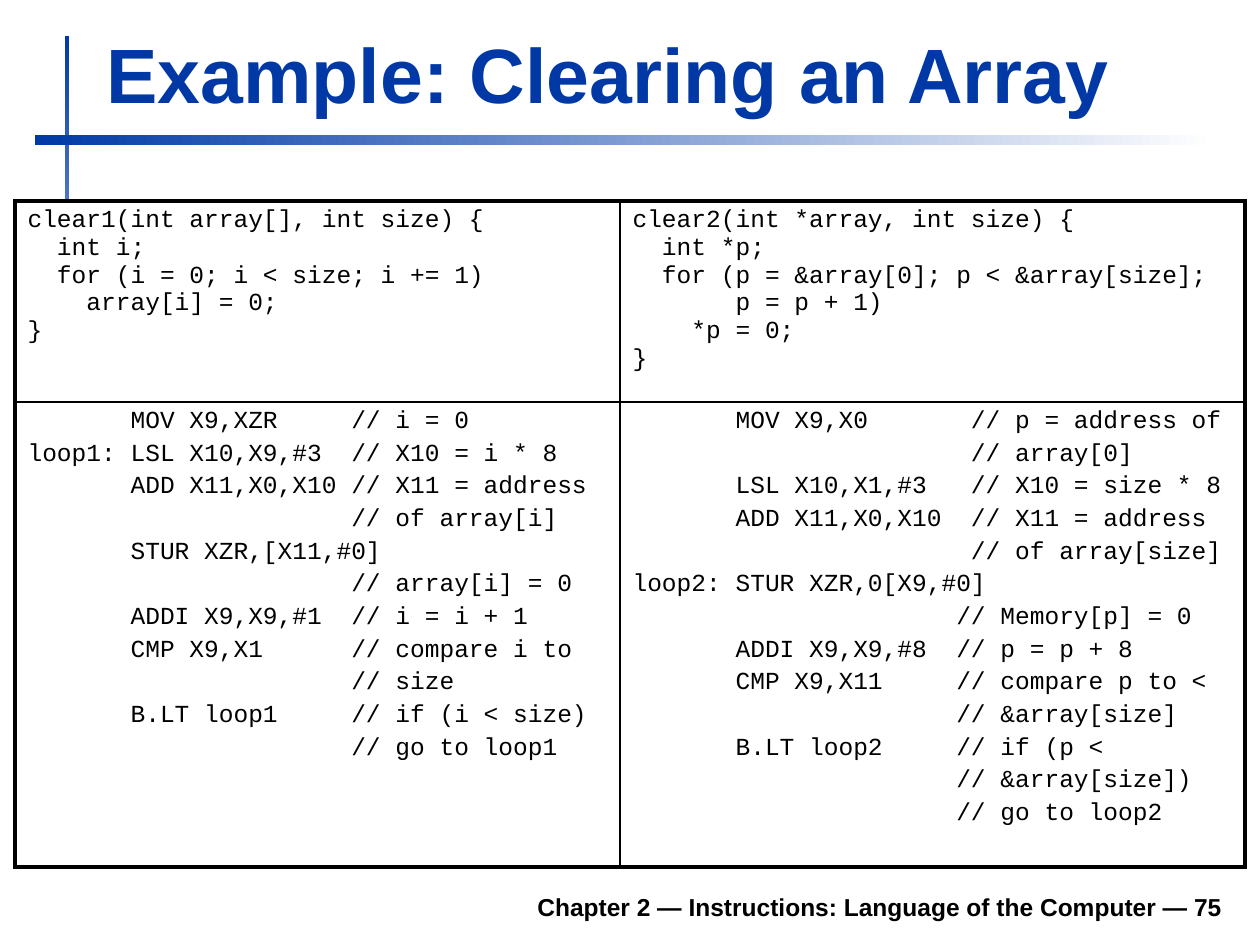
from dataclasses import dataclass

from lxml import etree
from pptx import Presentation
from pptx import util as u
from pptx.dml.color import RGBColor
from pptx.enum import shapes, text
from pptx.oxml import ns

PX_PER_INCH = 126
COLORS = {"blue": "0039A6", "white": "FFFFFF", "black": "000000"}
CODE_FONT = "Courier New"
OUTER_PT, INNER_PT = 2.25, 1
COLUMN_WIDTHS = (605, 625)
ROW_HEIGHTS = (201, 465)
ROW_SPACING = (0, 2.8)

C_ARRAY = """\
clear1(int array[], int size) {
  int i;
  for (i = 0; i < size; i += 1)
    array[i] = 0;
}"""

C_POINTER = """\
clear2(int *array, int size) {
  int *p;
  for (p = &array[0]; p < &array[size];
       p = p + 1)
    *p = 0;
}"""

ASM_ARRAY = """\
       MOV X9,XZR     // i = 0
loop1: LSL X10,X9,#3  // X10 = i * 8
       ADD X11,X0,X10 // X11 = address
                      // of array[i]
       STUR XZR,[X11,#0]
                      // array[i] = 0
       ADDI X9,X9,#1  // i = i + 1
       CMP X9,X1      // compare i to
                      // size
       B.LT loop1     // if (i < size)
                      // go to loop1"""

ASM_POINTER = """\
       MOV X9,X0       // p = address of
                       // array[0]
       LSL X10,X1,#3   // X10 = size * 8
       ADD X11,X0,X10  // X11 = address
                       // of array[size]
loop2: STUR XZR,0[X9,#0]
                      // Memory[p] = 0
       ADDI X9,X9,#8  // p = p + 8
       CMP X9,X11     // compare p to <
                      // &array[size]
       B.LT loop2     // if (p <
                      // &array[size])
                      // go to loop2"""

LISTINGS = ((C_ARRAY, C_POINTER), (ASM_ARRAY, ASM_POINTER))


@dataclass(frozen=True)
class Box:
    left: int
    top: int
    width: int
    height: int

    def emu(self) -> tuple:
        return tuple(px(n) for n in (self.left, self.top, self.width, self.height))


@dataclass(frozen=True)
class FadingRule:
    box: Box
    angle: int  # counter-clockwise degrees


RULES = (
    FadingRule(Box(65, 36, 4, 525), 270),
    FadingRule(Box(35, 135, 1180, 10), 0),
)
TITLE_BOX = Box(94, 20, 1138, 105)
TABLE_BOX = Box(15, 201, sum(COLUMN_WIDTHS), sum(ROW_HEIGHTS))
FOOTER_BOX = Box(233, 879, 1002, 49)


def px(length: int) -> u.Emu:
    return u.Emu(round(length * 914400 / PX_PER_INCH))


def rgb(name: str) -> RGBColor:
    return RGBColor.from_string(COLORS[name])


def style_font(font, face: str, size: int, color: str, bold: bool = False) -> None:
    font.name, font.size, font.bold = face, u.Pt(size), bold
    font.color.rgb = rgb(color)


def draw_rule(slide, rule: FadingRule) -> None:
    bar = slide.shapes.add_shape(shapes.MSO_SHAPE.RECTANGLE, *rule.box.emu())
    bar.shadow.inherit = False
    bar.line.fill.background()
    bar.fill.gradient()
    bar.fill.gradient_angle = rule.angle
    for stop, color in zip(bar.fill.gradient_stops, ("blue", "white")):
        stop.color.rgb = rgb(color)


def set_borders(cell, widths: dict) -> None:
    """Give the cell black borders; widths maps L, R, T, B (in that order) to points."""
    properties = cell._tc.get_or_add_tcPr()
    for index, (side, points) in enumerate(widths.items()):
        line = etree.Element(ns.qn(f"a:ln{side}"), w=str(u.Pt(points)))
        fill = etree.SubElement(line, ns.qn("a:solidFill"))
        etree.SubElement(fill, ns.qn("a:srgbClr"), val=COLORS["black"])
        properties.insert(index, line)


def write_listing(cell, code: str, spacing: float) -> None:
    cell.fill.solid()
    cell.fill.fore_color.rgb = rgb("white")
    cell.text = code
    for index, line in enumerate(cell.text_frame.paragraphs):
        if index and spacing:
            line.space_before = u.Pt(spacing)
        style_font(line.font, CODE_FONT, 14, "black")


def draw_comparison(slide) -> None:
    frame = slide.shapes.add_table(len(ROW_HEIGHTS), len(COLUMN_WIDTHS), *TABLE_BOX.emu())
    table = frame.table
    table.first_row = table.horz_banding = False
    for column, width in zip(table.columns, COLUMN_WIDTHS):
        column.width = px(width)
    for row, height in zip(table.rows, ROW_HEIGHTS):
        row.height = px(height)
    for r, listings in enumerate(LISTINGS):
        for c, code in enumerate(listings):
            cell = table.cell(r, c)
            write_listing(cell, code, ROW_SPACING[r])
            outer = {"L": c == 0, "R": c == 1, "T": r == 0, "B": r == 1}
            set_borders(cell, {side: OUTER_PT if edge else INNER_PT
                               for side, edge in outer.items()})


def draw_title(slide) -> None:
    title = slide.shapes.title
    title.left, title.top, title.width, title.height = TITLE_BOX.emu()
    frame = title.text_frame
    frame.text = "Example: Clearing an Array"
    frame.vertical_anchor = text.MSO_ANCHOR.BOTTOM
    frame.auto_size = text.MSO_AUTO_SIZE.SHAPE_TO_FIT_TEXT
    heading = frame.paragraphs[0]
    heading.alignment = text.PP_ALIGN.LEFT
    style_font(heading.font, "Arial", 44, "blue", bold=True)


def draw_footer(slide) -> None:
    frame = slide.shapes.add_textbox(*FOOTER_BOX.emu()).text_frame
    frame.word_wrap = True
    frame.vertical_anchor = text.MSO_ANCHOR.BOTTOM
    frame.text = "Chapter 2 — Instructions: Language of the Computer — 75"
    footer = frame.paragraphs[0]
    footer.alignment = text.PP_ALIGN.RIGHT
    style_font(footer.font, "Arial", 14, "black", bold=True)


def main() -> None:
    deck = Presentation()
    deck.slide_width, deck.slide_height = u.Inches(10), u.Inches(7.5)
    slide = deck.slides.add_slide(deck.slide_layouts[5])
    for rule in RULES:
        draw_rule(slide, rule)
    draw_footer(slide)
    draw_title(slide)
    draw_comparison(slide)
    deck.save("out.pptx")


if __name__ == "__main__":
    main()
